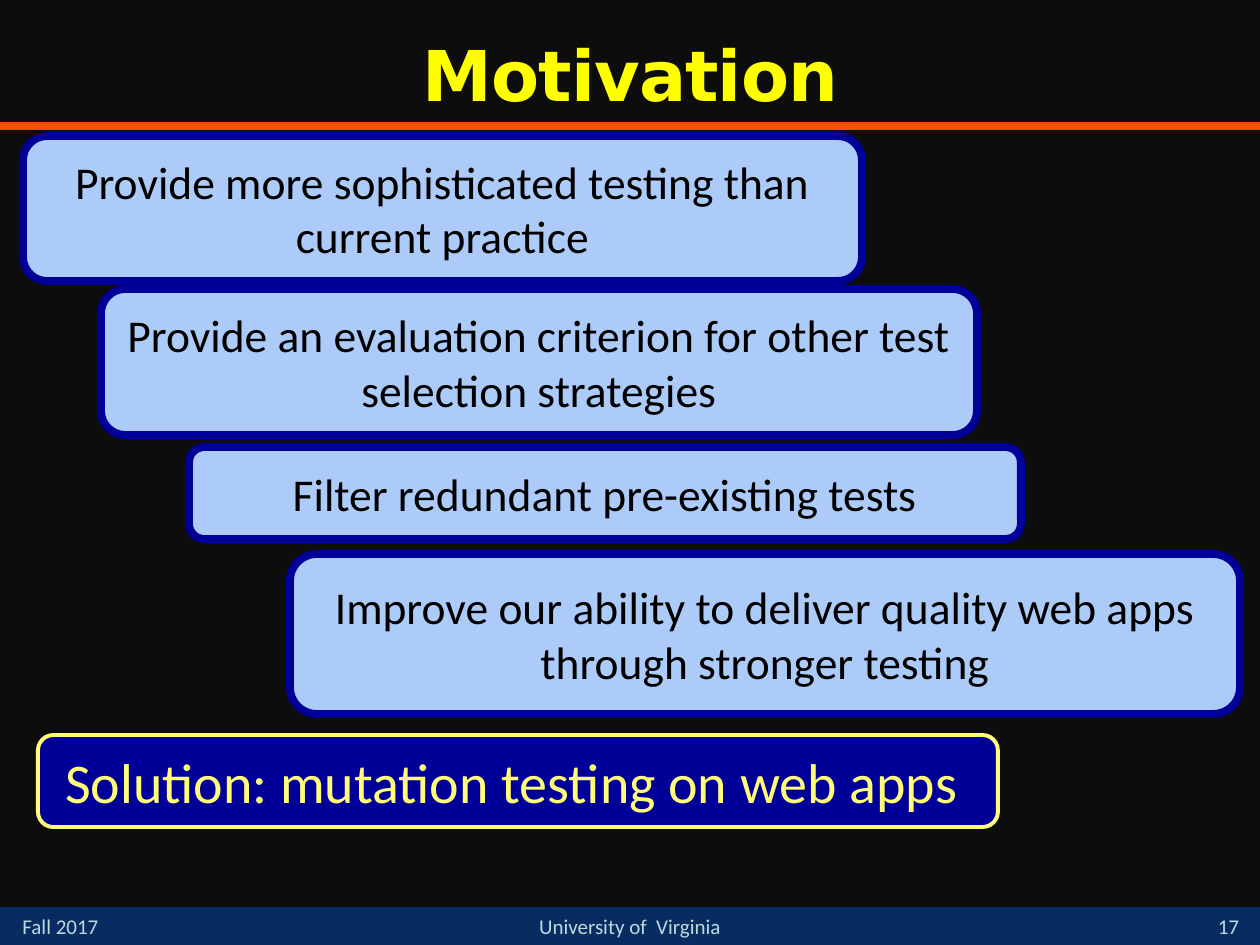
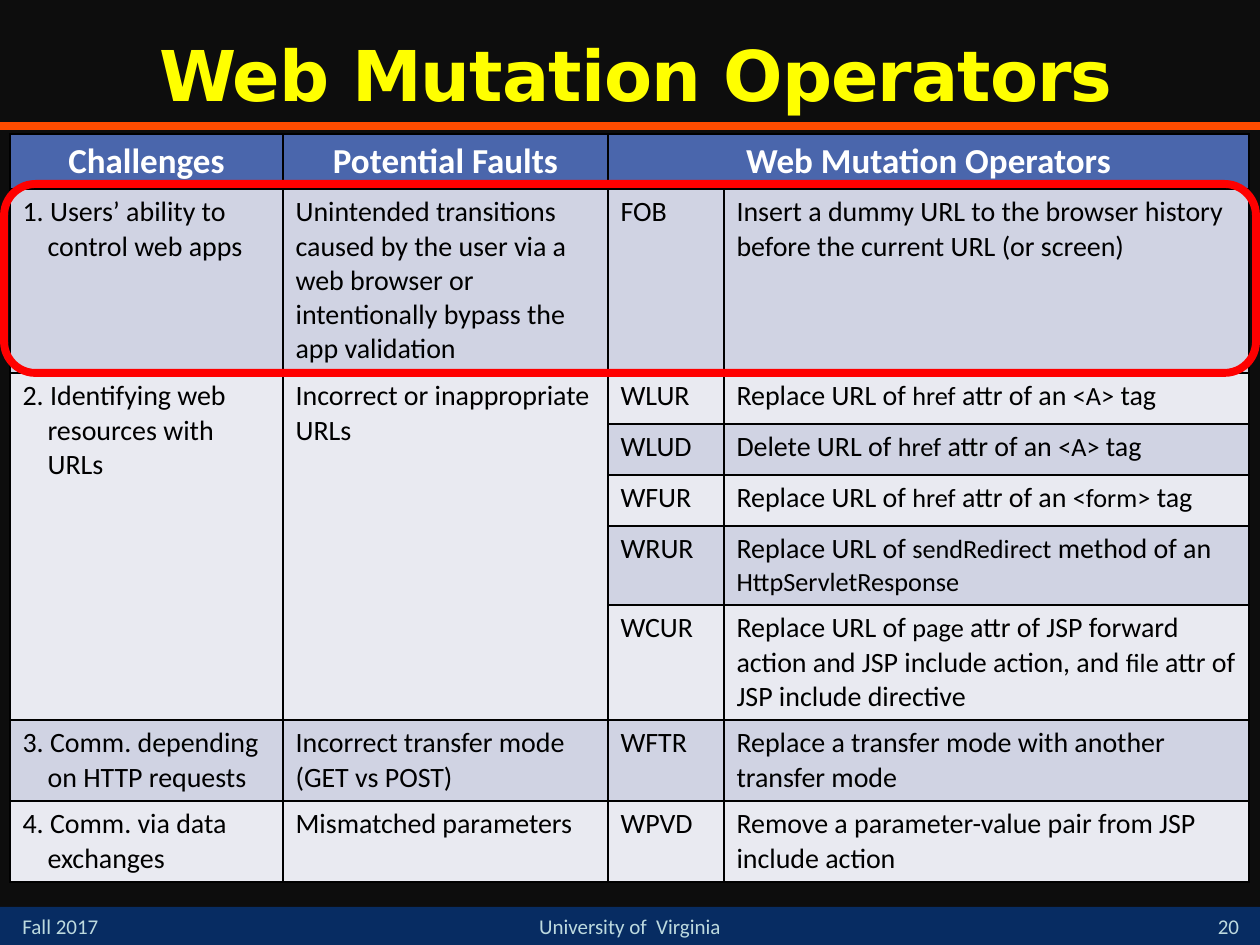
"""Build the web mutation testing slides."""
from dataclasses import dataclass

from lxml import etree
from pptx import Presentation
from pptx import util as u
from pptx.dml import color
from pptx.enum import shapes, text
from pptx.oxml import ns


@dataclass(frozen=True)
class Theme:
    """Colours, fonts, type sizes and line widths shared by the slides."""
    background: str = "0D0D0D"
    band: str = "072C62"
    rule: str = "FF4C00"
    footer: str = "BDDADF"
    title: str = "FFFF00"
    ink: str = "000000"
    white: str = "FFFFFF"
    goal: str = "ACCBF9"
    navy: str = "000099"
    solution: str = "FFFD78"
    header: str = "4A66AC"
    row_dark: str = "D0D3E3"
    row_light: str = "E9EAF1"
    highlight: str = "FF0000"
    body_font: str = "Calibri"
    title_font: str = "DejaVu Sans"
    title_size: int = 40
    solution_size: int = 32
    goal_size: int = 26
    header_size: int = 20
    cell_size: int = 16
    code_size: int = 15
    footer_size: int = 12
    thick: float = 4.5
    medium: float = 2.25
    thin: float = 1


@dataclass(frozen=True)
class Box:
    """A rectangle in px."""
    left: int
    top: int
    width: int
    height: int

    def inner(self, left, top, width, height):
        """Return a box placed relative to this one."""
        return Box(self.left + left, self.top + top, width, height)

    def emu(self):
        """Return left, top, width and height in EMU."""
        return [px(value) for value in (self.left, self.top, self.width, self.height)]


THEME = Theme()
PX_PER_INCH = 126
PAGE = Box(0, 0, 1260, 945)
FOOTER = Box(0, 907, 1260, 38)
GOALS = [
    ("Provide more sophisticated testing than current practice", (0, 0, 839, 145)),
    ("Provide an evaluation criterion for other test selection strategies", (78, 153, 876, 146)),
    ("Filter redundant pre-existing tests", (166, 311, 832, 92)),
    ("Improve our ability to deliver quality web apps through stronger testing", (267, 418, 950, 160)),
]
COLUMN_WIDTHS = [273, 325, 116, 525]
ROW_HEIGHTS = [55, 184, 51, 51, 51, 79, 115, 81, 81]
MERGES = [((0, 2), (0, 3)), ((2, 0), (6, 0)), ((2, 1), (6, 1))]
ROWS = [
    ("Challenges", "Potential Faults", "Web Mutation Operators", ""),
    ("1. Users’ ability to control web apps",
     "Unintended transitions caused by the user via a web browser or "
     "intentionally bypass the app validation",
     "FOB", "Insert a dummy URL to the browser history before the current URL (or screen)"),
    ("2. Identifying web resources with URLs", "Incorrect or inappropriate URLs",
     "WLUR", "Replace URL of `href` attr of an `<A>` tag"),
    ("", "", "WLUD", "Delete URL of `href` attr of an `<A>` tag"),
    ("", "", "WFUR", "Replace URL of `href` attr of an `<form>` tag"),
    ("", "", "WRUR", "Replace URL of `sendRedirect` method of an `HttpServletResponse`"),
    ("", "", "WCUR", "Replace URL of `page` attr of JSP forward action and JSP include action, "
     "and `file` attr of JSP include directive"),
    ("3. Comm. depending on HTTP requests", "Incorrect transfer mode (GET vs POST)",
     "WFTR", "Replace a transfer mode with another transfer mode"),
    ("4. Comm. via data exchanges", "Mismatched parameters",
     "WPVD", "Remove a parameter-value pair from JSP include action"),
]


def px(value):
    """Turn px into EMU."""
    return u.Emu(round(value * 914400 / PX_PER_INCH))


def rgb(value):
    """Turn a hex string into a colour."""
    return color.RGBColor.from_string(value)


def fill_text(frame, words, size, ink, align=text.PP_ALIGN.LEFT, bold=False,
              font=THEME.body_font, anchor=text.MSO_ANCHOR.TOP):
    """Write one paragraph, with words between backticks in the code size."""
    frame.word_wrap = True
    frame.vertical_anchor = anchor
    paragraph = frame.paragraphs[0]
    paragraph.alignment = align
    paragraph.font.name = font
    paragraph.font.size = u.Pt(size)
    paragraph.font.bold = bold
    paragraph.font.color.rgb = rgb(ink)
    for index, part in enumerate(words.split("`")):
        if part:
            run = paragraph.add_run()
            run.text = part
            if index % 2:
                run.font.size = u.Pt(THEME.code_size)
    return paragraph


def add_label(slide, box, words, size, ink, **style):
    """Add a wrapping text box."""
    frame = slide.shapes.add_textbox(*box.emu()).text_frame
    return fill_text(frame, words, size, ink, **style)


def add_panel(slide, box, fill=None, line=None, width=0, kind=shapes.MSO_SHAPE.ROUNDED_RECTANGLE):
    """Add a flat shape with an optional fill and outline."""
    shape = slide.shapes.add_shape(kind, *box.emu())
    shape.shadow.inherit = False
    if fill:
        shape.fill.solid()
        shape.fill.fore_color.rgb = rgb(fill)
    else:
        shape.fill.background()
    if line:
        shape.line.color.rgb = rgb(line)
        shape.line.width = u.Pt(width)
    else:
        shape.line.fill.background()
    return shape


def add_footer(slide, box, number):
    """Draw the bottom band with term, university and slide number."""
    add_panel(slide, box, THEME.band, kind=shapes.MSO_SHAPE.RECTANGLE)
    style = (THEME.footer_size, THEME.footer)
    add_label(slide, box.inner(10, 0, 147, 38), "Fall 2017", *style)
    add_label(slide, box.inner(462, 0, 336, 38), "University of  Virginia", *style,
              align=text.PP_ALIGN.CENTER)
    add_label(slide, box.inner(1197, -4, 63, 42), str(number), *style,
              align=text.PP_ALIGN.CENTER, anchor=text.MSO_ANCHOR.BOTTOM)


def add_title(slide, box, words):
    """Write the slide title."""
    paragraph = add_label(slide, box, words, THEME.title_size, THEME.title, bold=True,
                          font=THEME.title_font, align=text.PP_ALIGN.CENTER,
                          anchor=text.MSO_ANCHOR.MIDDLE)
    paragraph.line_spacing = 0.9
    paragraph.runs[0]._r.get_or_add_rPr().set("spc", "-50")


def add_rule(slide, box):
    """Draw the line under the title along the top of the box."""
    left, top, width, _ = box.emu()
    rule = slide.shapes.add_connector(shapes.MSO_CONNECTOR.STRAIGHT, left, top, left + width, top)
    rule.line.color.rgb = rgb(THEME.rule)
    rule.line.width = u.Pt(THEME.thick)
    etree.SubElement(rule._element.spPr, ns.qn("a:effectLst"))


def add_base(presentation, title, title_box, number):
    """Start a slide with background, footer, rule and title."""
    slide = presentation.slides.add_slide(presentation.slide_layouts[6])
    slide.background.fill.solid()
    slide.background.fill.fore_color.rgb = rgb(THEME.background)
    add_footer(slide, FOOTER, number)
    add_rule(slide, PAGE.inner(0, 126, PAGE.width, 0))
    add_title(slide, title_box, title)
    return slide


def add_goals(slide, box):
    """Place the staircase of goals and the solution below it."""
    centred = {"align": text.PP_ALIGN.CENTER, "anchor": text.MSO_ANCHOR.MIDDLE}
    for words, place in GOALS:
        panel = add_panel(slide, box.inner(*place), THEME.goal, THEME.navy, THEME.thick)
        fill_text(panel.text_frame, words, THEME.goal_size, THEME.ink, **centred)
    panel = add_panel(slide, box.inner(15, 599, 960, 92), THEME.navy, THEME.solution, THEME.medium)
    fill_text(panel.text_frame, "Solution: mutation testing on web apps ",
              THEME.solution_size, THEME.solution, **centred)


def style_cell(cell, fill):
    """Give a cell thin black borders and a fill."""
    properties = cell._tc.get_or_add_tcPr()
    for side in ("a:lnL", "a:lnR", "a:lnT", "a:lnB"):
        line = etree.SubElement(properties, ns.qn(side), w=str(u.Pt(THEME.thin)))
        solid = etree.SubElement(line, ns.qn("a:solidFill"))
        etree.SubElement(solid, ns.qn("a:srgbClr"), val=THEME.ink)
    cell.fill.solid()
    cell.fill.fore_color.rgb = rgb(fill)


def add_operators(slide, box):
    """Place the operator table and the ring around its first row."""
    frame = slide.shapes.add_table(len(ROWS), len(COLUMN_WIDTHS), *box.emu())
    table = frame.table
    table.horz_banding = False
    for column, width in zip(table.columns, COLUMN_WIDTHS):
        column.width = px(width)
    for row, height in zip(table.rows, ROW_HEIGHTS):
        row.height = px(height)
    for start, end in MERGES:
        table.cell(*start).merge(table.cell(*end))
    for row_index, row in enumerate(ROWS):
        for column_index, words in enumerate(row):
            cell = table.cell(row_index, column_index)
            if row_index == 0:
                style_cell(cell, THEME.header)
                fill_text(cell.text_frame, words, THEME.header_size, THEME.white,
                          align=text.PP_ALIGN.CENTER, bold=True)
                continue
            style_cell(cell, THEME.row_dark if row_index % 2 else THEME.row_light)
            paragraph = fill_text(cell.text_frame, words, THEME.cell_size, THEME.ink)
            if column_index == 0:
                indent = px(25)
                properties = paragraph._p.get_or_add_pPr()
                properties.set("marL", str(indent))
                properties.set("indent", str(-indent))
    add_panel(slide, box.inner(-6, 50, 1252, 189), line=THEME.highlight, width=THEME.thick)


def main():
    """Build both slides and save them."""
    presentation = Presentation()
    presentation.slide_width = px(PAGE.width)
    presentation.slide_height = px(PAGE.height)
    motivation = add_base(presentation, "Motivation", PAGE.inner(95, 31, 1071, 95), 17)
    add_goals(motivation, PAGE.inner(23, 136, 1217, 691))
    operators = add_base(presentation, "Web Mutation Operators", PAGE.inner(116, 31, 1040, 95), 20)
    add_operators(operators, PAGE.inner(10, 134, sum(COLUMN_WIDTHS), sum(ROW_HEIGHTS)))
    presentation.save("out.pptx")


if __name__ == "__main__":
    main()
